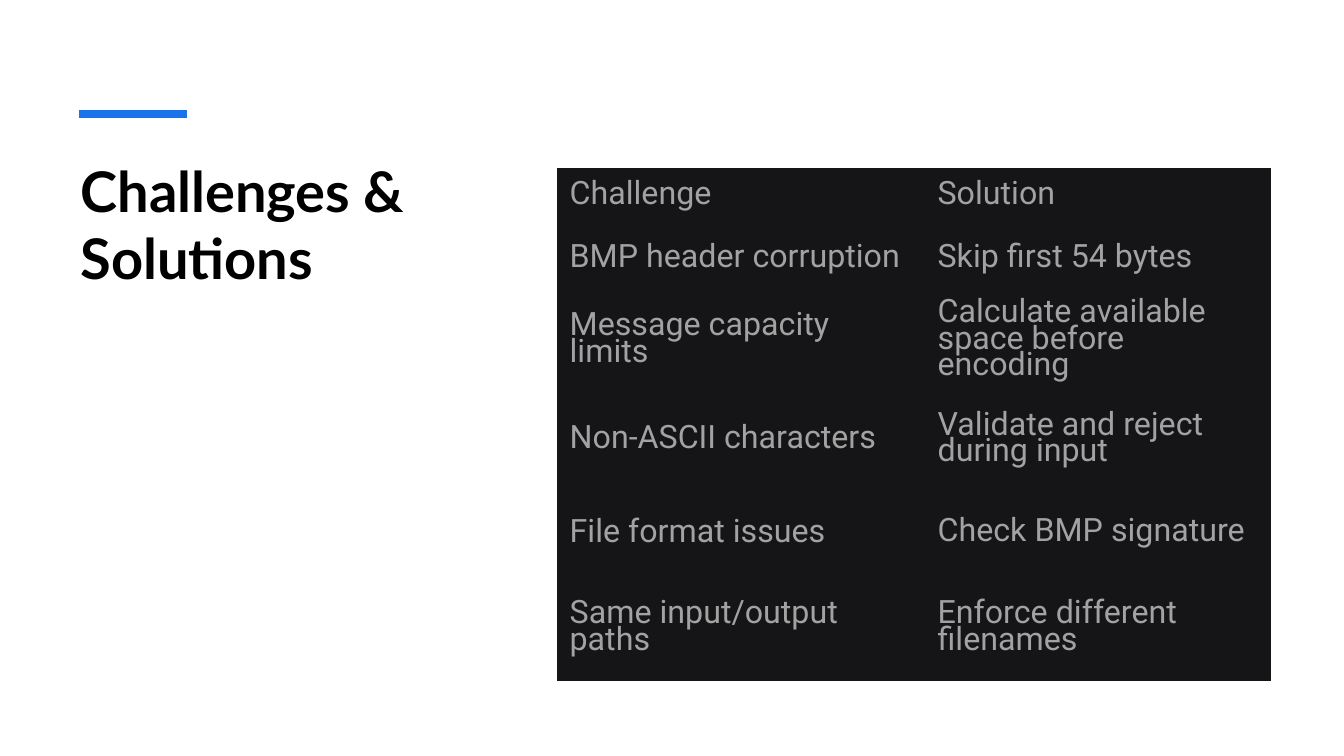
import dataclasses

import lxml.etree
import pptx
import pptx.dml.color
import pptx.enum.shapes
import pptx.enum.text
import pptx.oxml.ns
import pptx.util

SCALE = 9144
NO_STYLE = "{2D5ABB26-0587-4C30-8999-92F81FD0307C}"
WIDTHS = (361, 348)
PAD, EDGE, RISE = 17, 13, 11


@dataclasses.dataclass(frozen=True)
class Row:
    """One challenge with its solution."""
    issue: str
    answer: str
    height: int
    lead: float = 18.8


ROWS = (
    Row("Challenge", "Solution", 62),
    Row("BMP header corruption", "Skip first 54 bytes", 62),
    Row("Message capacity limits", "Calculate available space before encoding", 97),
    Row("Non-ASCII characters", "Validate and reject during input", 97),
    Row("File format issues", "Check BMP signature", 90, 16.5),
    Row("Same input/output paths", "Enforce different filenames", 97),
)


def px(size: int) -> pptx.util.Emu:
    """Turn px into EMU."""
    return pptx.util.Emu(size * SCALE)


def color(code: str) -> pptx.dml.color.RGBColor:
    """Turn a hex string into a colour."""
    return pptx.dml.color.RGBColor.from_string(code)


def add_run(para, text: str, face: str, size: int, code: str, bold: bool = False) -> None:
    """Add one styled run to a paragraph."""
    run = para.add_run()
    run.text = text
    run.font.name = face
    run.font.size = pptx.util.Pt(size)
    run.font.bold = bold
    run.font.color.rgb = color(code)


def add_title(slide) -> None:
    """Draw the heading."""
    frame = slide.shapes.add_textbox(px(70), px(150), px(402), px(429)).text_frame
    frame.word_wrap = True
    add_run(frame.paragraphs[0], "Challenges & Solutions", "Lato", 40, "000000", True)


def add_accent(slide) -> None:
    """Draw the short bar above the heading."""
    line = slide.shapes.add_connector(
        pptx.enum.shapes.MSO_CONNECTOR.STRAIGHT, px(78), px(113), px(185), px(113))
    line.line.color.rgb = color("1973EB")
    line.line.width = pptx.util.Pt(6)
    props = line.element.find(pptx.oxml.ns.qn("p:spPr"))
    lxml.etree.SubElement(props, pptx.oxml.ns.qn("a:effectLst"))


def fill_cell(cell, text: str, left: int, right: int, lead: float) -> None:
    """Style one table cell and write its text."""
    cell.fill.solid()
    cell.fill.fore_color.rgb = color("151517")
    cell.vertical_anchor = pptx.enum.text.MSO_ANCHOR.MIDDLE
    cell.margin_left, cell.margin_right = px(left), px(right)
    cell.margin_top = cell.margin_bottom = px(RISE)
    para = cell.text_frame.paragraphs[0]
    para.line_spacing = pptx.util.Pt(lead)
    add_run(para, text, "Roboto", 23, "A2A2A2")


def add_grid(slide) -> None:
    """Draw the table of challenges and solutions."""
    high = sum(row.height for row in ROWS)
    frame = slide.shapes.add_table(
        len(ROWS), len(WIDTHS), px(552), px(167), px(sum(WIDTHS)), px(high))
    table = frame.table
    table.first_row = table.horz_banding = False
    style = next(frame.element.iter(pptx.oxml.ns.qn("a:tableStyleId")))
    style.text = NO_STYLE
    for col, width in zip(table.columns, WIDTHS):
        col.width = px(width)
    for num, row in enumerate(ROWS):
        table.rows[num].height = px(row.height)
        fill_cell(table.cell(num, 0), row.issue, EDGE, PAD, 18.8)
        fill_cell(table.cell(num, 1), row.answer, PAD, EDGE if num else PAD, row.lead)


def main() -> None:
    """Build and save the slide."""
    deck = pptx.Presentation()
    deck.slide_width, deck.slide_height = px(1333), px(750)
    slide = deck.slides.add_slide(deck.slide_layouts[6])
    slide.background.fill.solid()
    slide.background.fill.fore_color.rgb = color("FFFFFF")
    add_title(slide)
    add_accent(slide)
    add_grid(slide)
    deck.save("out.pptx")


if __name__ == "__main__":
    main()
